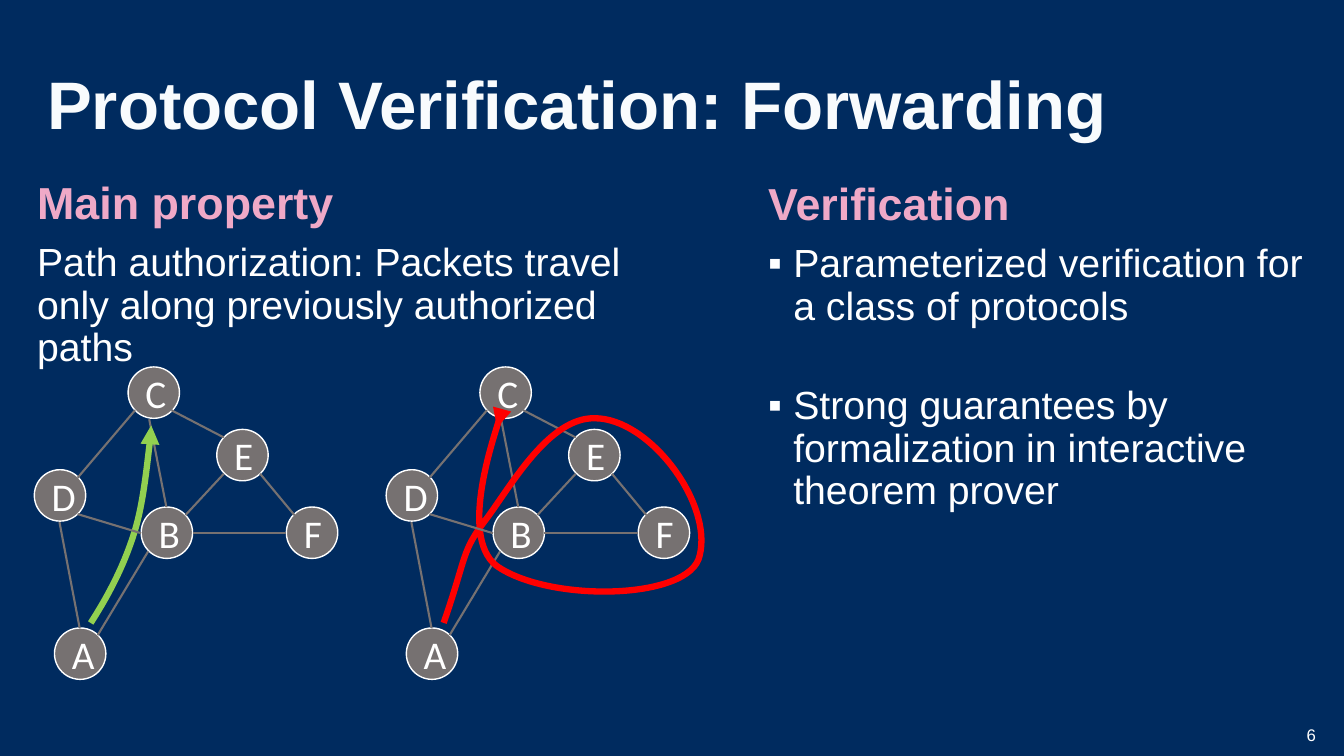
from lxml import etree
from pptx import Presentation
from pptx import util as u
from pptx.dml.color import RGBColor
from pptx.enum import shapes, text
from pptx.oxml.ns import qn

NAVY = RGBColor(0x00, 0x2B, 0x5F)
PALE = RGBColor(0xF8, 0xFB, 0xFD)
PINK = RGBColor(0xEF, 0xA9, 0xC7)
WHITE = RGBColor(0xFF, 0xFF, 0xFF)
GRAY = RGBColor(0x76, 0x71, 0x71)
GREEN = RGBColor(0x92, 0xD0, 0x50)
RED = RGBColor(0xFF, 0x00, 0x00)

# Network: top-left corner of each node, then the ends of each link
NODE_SIZE = 0.51
NODES = {"C": (1.27, 3.64), "E": (2.15, 4.26), "B": (1.4, 5.03),
         "F": (2.84, 5.03), "A": (0.54, 6.23), "D": (0.34, 4.66)}
LINKS = [
    (0.77, 4.74, 1.34, 4.07), (1.65, 5.03, 1.48, 4.16), (1.7, 4.07, 2.22, 4.34),
    (0.59, 5.18, 0.79, 6.23), (0.97, 6.3, 1.47, 5.47), (1.84, 5.11, 2.22, 4.7),
    (2.92, 5.11, 2.58, 4.7), (1.91, 5.29, 2.84, 5.29),
]
TOP_LINK = (0.77, 5.1, 1.4, 5.29)
GRAPH_STEP = 3.49

# Routes: a start point, then two control points and an end per curve
GOOD_ROUTE = [(0.9, 6.18), (1.08, 5.9), (1.23, 5.61), (1.33, 5.29),
              (1.43, 4.98), (1.47, 4.47), (1.5, 4.29),
              (1.53, 4.11), (1.5, 4.24), (1.5, 4.22)]
BAD_ROUTE = [(4.4, 6.18), (4.64, 5.49), (4.57, 5.48), (4.83, 5.14),
             (5.08, 4.8), (5.45, 4.14), (5.9, 4.15),
             (6.44, 4.15), (7.07, 4.99), (6.94, 5.51),
             (6.85, 5.96), (5.43, 5.98), (4.92, 5.61),
             (4.55, 5.31), (5.11, 3.64), (4.93, 4.24)]


def bezier_points(route, steps=24):
    """Points along a chain of cubic curves, in inches."""
    points = [route[0]]
    for i in range(0, len(route) - 1, 3):
        curve = route[i:i + 4]
        for k in range(1, steps + 1):
            t = k / steps
            weights = ((1 - t) ** 3, 3 * t * (1 - t) ** 2, 3 * t * t * (1 - t), t ** 3)
            points.append(tuple(sum(w * pt[axis] for w, pt in zip(weights, curve))
                                for axis in (0, 1)))
    return points


class Deck:
    font = "Arial"
    node_font = "Calibri"

    def __init__(self):
        self.prs = Presentation()
        self.prs.slide_width = u.Inches(13.33)
        self.prs.slide_height = u.Inches(7.5)
        self.s = self.prs.slides.add_slide(self.prs.slide_layouts[6])
        self.s.background.fill.solid()
        self.s.background.fill.fore_color.rgb = NAVY

    def box(self, x, y, w, h, anchor=text.MSO_ANCHOR.TOP):
        sp = self.s.shapes.add_textbox(*map(u.Inches, (x, y, w, h)))
        tf = sp.text_frame
        tf.word_wrap = True
        tf.vertical_anchor = anchor
        return tf

    def paragraph(self, tf, words, size, color, bold=False, before=0,
                  spacing=0.9, bullet=None, align=None, font=None):
        p = tf.paragraphs[0] if not tf.text else tf.add_paragraph()
        p.text = words
        p.font.name = font or self.font
        p.font.size = u.Pt(size)
        p.font.bold = bold
        p.font.color.rgb = color
        p.space_before = u.Pt(before)
        p.line_spacing = spacing
        p.alignment = align
        if bullet:
            pPr = p._p.get_or_add_pPr()
            pPr.set("marL", str(u.Inches(0.25)))
            pPr.set("indent", str(-u.Inches(0.25)))
            face = etree.Element(qn("a:buFont"), typeface=self.font)
            pPr.find(qn("a:spcBef")).addnext(face)
            face.addnext(etree.Element(qn("a:buChar"), char=bullet))

    def node(self, grp, letter, x, y):
        sp = grp.shapes.add_shape(shapes.MSO_SHAPE.OVAL, u.Inches(x), u.Inches(y),
                                  u.Inches(NODE_SIZE), u.Inches(NODE_SIZE))
        sp.shadow.inherit = False
        sp.fill.solid()
        sp.fill.fore_color.rgb = GRAY
        sp.line.color.rgb = WHITE
        sp.line.width = u.Pt(1)
        tf = sp.text_frame
        tf.vertical_anchor = text.MSO_ANCHOR.MIDDLE
        self.paragraph(tf, letter, 28, WHITE, spacing=1,
                       align=text.PP_ALIGN.CENTER, font=self.node_font)

    def link(self, grp, dx, x1, y1, x2, y2):
        cx = grp.shapes.add_connector(shapes.MSO_CONNECTOR.STRAIGHT,
                                      *map(u.Inches, (x1 + dx, y1, x2 + dx, y2)))
        cx.line.color.rgb = GRAY
        cx.line.width = u.Pt(1.5)
        etree.SubElement(cx._element.spPr, qn("a:effectLst"))

    def route(self, grp, curves, color):
        # The sampled outline sets the frame
        start, *rest = [(u.Inches(x), u.Inches(y)) for x, y in bezier_points(curves)]
        builder = grp.shapes.build_freeform(*start)
        builder.add_line_segments(rest, close=False)
        sp = builder.convert_to_shape()
        # True curves take the place of the sampled segments
        outline = next(sp._element.iter(qn("a:path")))
        for segment in outline.findall(qn("a:lnTo")):
            outline.remove(segment)
        for i in range(1, len(curves), 3):
            cubic = etree.SubElement(outline, qn("a:cubicBezTo"))
            for x, y in curves[i:i + 3]:
                etree.SubElement(cubic, qn("a:pt"), x=str(u.Inches(x) - sp.left),
                                 y=str(u.Inches(y) - sp.top))
        sp.shadow.inherit = False
        sp.fill.background()
        sp.line.color.rgb = color
        sp.line.width = u.Pt(4.5)
        ln = sp.line._get_or_add_ln()
        etree.SubElement(ln, qn("a:tailEnd"), type="triangle")

    def graph(self, dx, curves, color):
        grp = self.s.shapes.add_group_shape()
        for letter, (x, y) in NODES.items():
            self.node(grp, letter, x + dx, y)
        for ends in LINKS:
            self.link(grp, dx, *ends)
        self.route(grp, curves, color)
        self.link(grp, dx, *TOP_LINK)


def main():
    deck = Deck()
    middle = text.MSO_ANCHOR.MIDDLE

    # Title and slide number
    title = deck.box(0.37, 0.72, 12.77, 0.7, middle)
    deck.paragraph(title, "Protocol Verification: Forwarding", 48, PALE, bold=True)
    number = deck.box(9.3, 7.16, 3.85, 0.27, middle)
    deck.paragraph(number, "6", 12, WHITE, spacing=1, align=text.PP_ALIGN.RIGHT)

    # Left column
    left = deck.box(0.27, 1.74, 6.79, 5.31)
    deck.paragraph(left, "Main property", 32, PINK, bold=True, before=10)
    deck.paragraph(left, "Path authorization: Packets travel only along "
                   "previously authorized paths", 28, WHITE, before=10)

    # Right column
    right = deck.box(7.52, 1.75, 5.52, 5.29)
    deck.paragraph(right, "Verification", 32, PINK, bold=True, before=10)
    deck.paragraph(right, "Parameterized verification for a class of protocols",
                   28, WHITE, before=10, bullet="▪")
    deck.paragraph(right, "Strong guarantees by formalization in interactive "
                   "theorem prover", 28, WHITE, before=41, bullet="▪")

    # Authorized and unauthorized paths
    deck.graph(0, GOOD_ROUTE, GREEN)
    deck.graph(GRAPH_STEP, BAD_ROUTE, RED)

    deck.prs.save("out.pptx")


if __name__ == "__main__":
    main()
